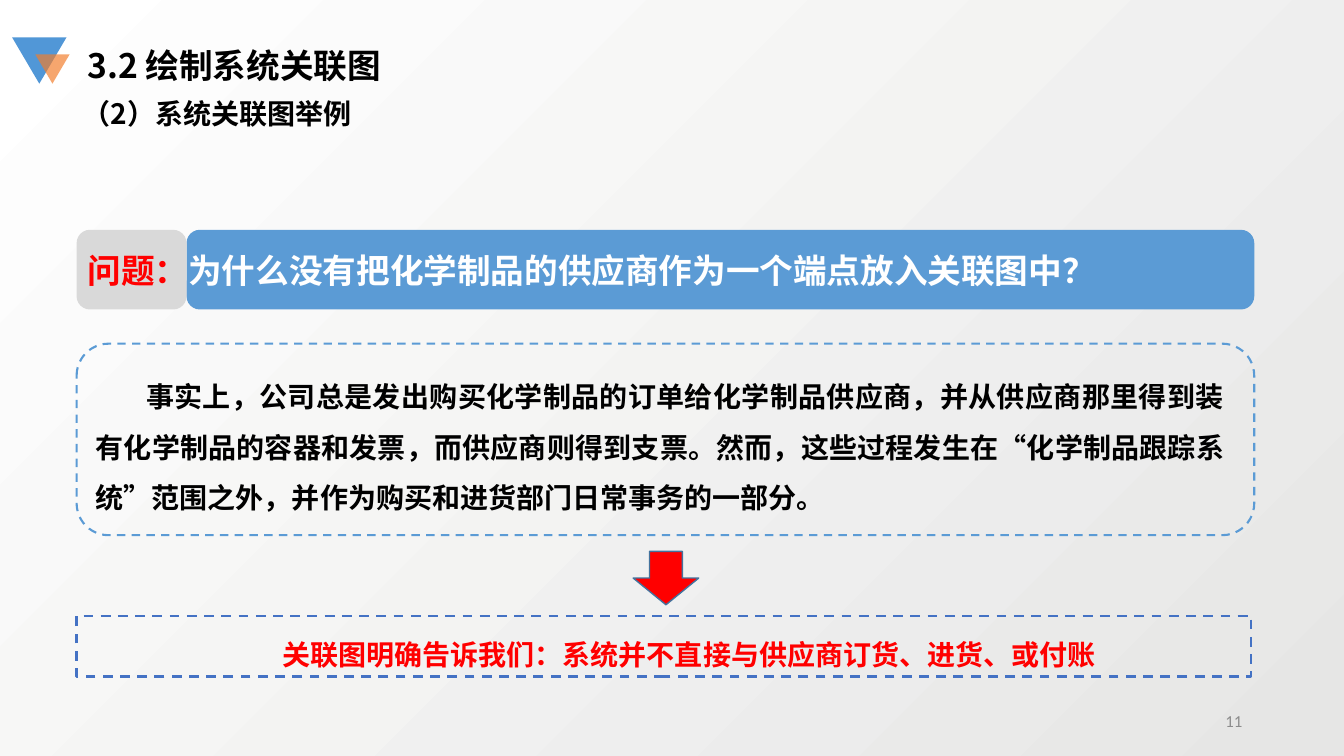
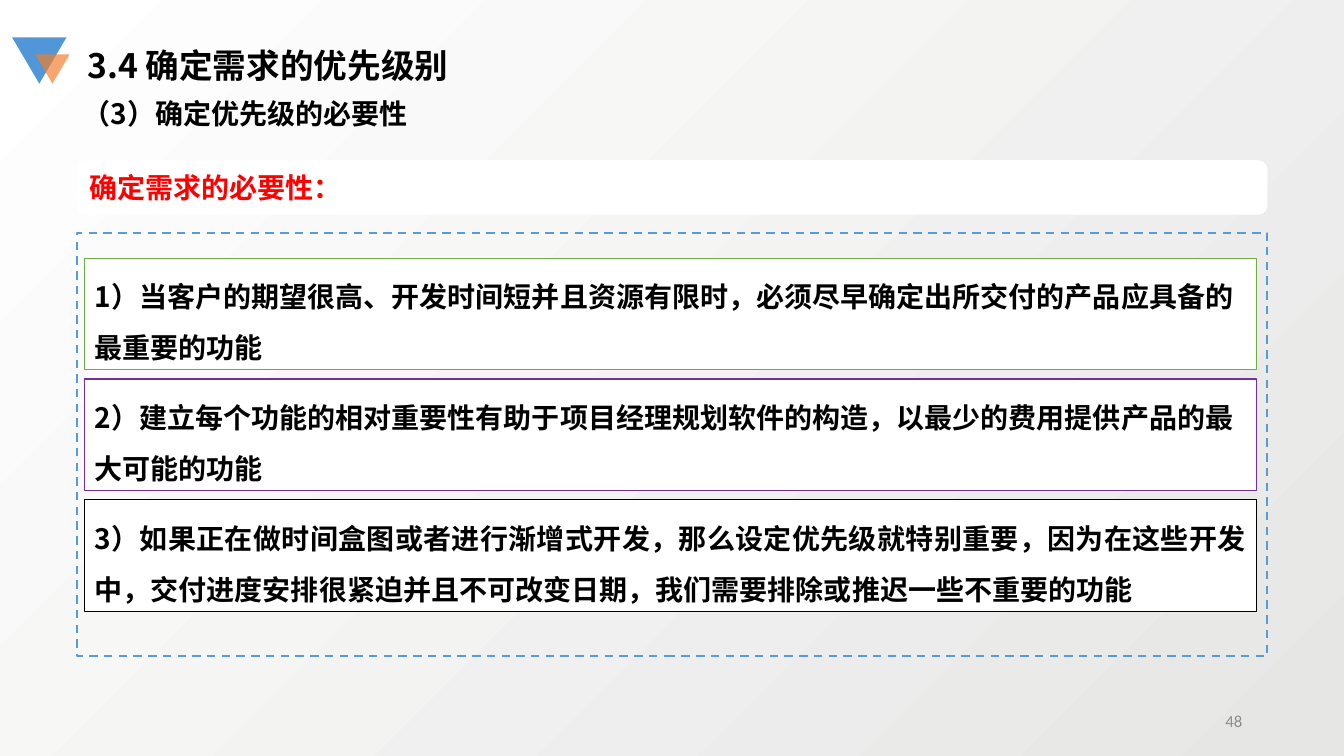
import dataclasses

import pptx
import pptx.dml.color
import pptx.enum.dml
import pptx.enum.shapes
import pptx.enum.text
import pptx.oxml.ns
import pptx.oxml.xmlchemy
import pptx.util
from lxml import etree

SHAPES = pptx.enum.shapes.MSO_SHAPE
ALIGN = pptx.enum.text.PP_ALIGN
ANCHOR = pptx.enum.text.MSO_ANCHOR
EMU_PER_PX = 9144


@dataclasses.dataclass(frozen=True)
class Theme:
    black: str = "000000"
    white: str = "FFFFFF"
    red: str = "FF0000"
    blue: str = "5B9BD5"
    royal: str = "4472C4"
    steel: str = "43739E"
    green: str = "70AD47"
    purple: str = "7030A0"
    label: str = "D9D9D9"
    number: str = "8C8C8C"
    shade: str = "E6E6E5"
    mark_blue: str = "5197D7"
    mark_orange: str = "F37D2A"
    heading: int = 24
    body: int = 20
    small: int = 12
    cjk: str = "Noto Sans CJK SC"
    latin: str = "Arial"
    footer: str = "Calibri"


THEME = Theme()


def px(value):
    return pptx.util.Emu(value * EMU_PER_PX)


def rgb(value):
    return pptx.dml.color.RGBColor.from_string(value)


def add_box(slide, preset, bounds, fill=None, line=None, width=1.5, dashed=False):
    box = slide.shapes.add_shape(preset, *map(px, bounds))
    box.shadow.inherit = False
    if fill:
        box.fill.solid()
        box.fill.fore_color.rgb = rgb(fill)
    else:
        box.fill.background()
    if line:
        box.line.color.rgb = rgb(line)
        box.line.width = pptx.util.Pt(width)
        if dashed:
            box.line.dash_style = pptx.enum.dml.MSO_LINE.DASH
    else:
        box.line.fill.background()
    return box


def write(box, text, size=THEME.body, color=THEME.black, font=THEME.cjk, bold=True,
          align=ALIGN.LEFT, spacing=None, indent=0, anchor=ANCHOR.TOP):
    frame = box.text_frame
    frame.word_wrap = True
    frame.vertical_anchor = anchor
    paragraph = frame.paragraphs[0]
    paragraph.alignment = align
    if spacing:
        paragraph.line_spacing = spacing
    properties = paragraph._p.get_or_add_pPr()
    if indent:
        properties.set("marL", "0")
        properties.set("indent", str(px(indent)))
    paragraph.font.size = pptx.util.Pt(size)
    paragraph.font.bold = bold
    paragraph.font.color.rgb = rgb(color)
    paragraph.font.name = font
    defaults = properties.find(pptx.oxml.ns.qn("a:defRPr"))
    etree.SubElement(defaults, pptx.oxml.ns.qn("a:ea"), typeface=THEME.cjk)
    paragraph.add_run().text = text
    return paragraph


def add_text(slide, bounds, text, **style):
    return write(slide.shapes.add_textbox(*map(px, bounds)), text, **style)


def add_mark(slide, bounds, color, opacity=100):
    mark = add_box(slide, SHAPES.ISOSCELES_TRIANGLE, bounds, color)
    mark.rotation = 180
    if opacity < 100:
        tint = mark._element.spPr.find(".//" + pptx.oxml.ns.qn("a:srgbClr"))
        etree.SubElement(tint, pptx.oxml.ns.qn("a:alpha"), val=str(opacity * 1000))


def set_background(deck):
    fill = deck.slide_master.background.fill
    fill.gradient()
    fill.gradient_angle = 135
    for stop, color, position in zip(fill.gradient_stops, (THEME.shade, THEME.white), (0, 1)):
        stop.color.rgb = rgb(color)
        stop.position = position


def add_page(deck, title, title_width, subtitle, number):
    slide = deck.slides.add_slide(deck.slide_layouts[6])
    add_mark(slide, (12, 37, 54, 46), THEME.mark_blue)
    add_mark(slide, (35, 54, 34, 29), THEME.mark_orange, 68)
    add_text(slide, (77, 40, title_width, 50), title, size=THEME.heading)
    add_text(slide, (72, 91, 849, 44), subtitle)
    add_text(slide, (942, 695, 300, 40), number, size=THEME.small, color=THEME.number,
             font=THEME.footer, bold=False, align=ALIGN.RIGHT, anchor=ANCHOR.MIDDLE)
    return slide


def build_context_diagram(deck):
    slide = add_page(deck, "3.2 绘制系统关联图", 353, "（2）系统关联图举例", "11")
    add_box(slide, SHAPES.ROUNDED_RECTANGLE, (185, 228, 1059, 79), THEME.blue)
    add_box(slide, SHAPES.ROUNDED_RECTANGLE, (76, 228, 109, 79), THEME.label)
    question = add_text(slide, (77, 243, 1180, 50), "问题：", size=THEME.heading,
                        color=THEME.red, font=THEME.latin)
    wording = question.add_run()
    wording.text = "为什么没有把化学制品的供应商作为一个端点放入关联图中？"
    wording.font.color.rgb = rgb(THEME.white)
    add_box(slide, SHAPES.ROUNDED_RECTANGLE, (76, 341, 1168, 190),
            line=THEME.blue, dashed=True)
    add_text(slide, (85, 355, 1139, 161),
             "事实上，公司总是发出购买化学制品的订单给化学制品供应商，并从供应商那里得到装"
             "有化学制品的容器和发票，而供应商则得到支票。然而，这些过程发生在“化学制品跟踪系"
             "统”范围之外，并作为购买和进货部门日常事务的一部分。",
             font=THEME.latin, align=ALIGN.JUSTIFY, spacing=1.5, indent=50)
    conclusion = add_box(slide, SHAPES.RECTANGLE, (76, 611, 1165, 60),
                         line=THEME.royal, width=1.75, dashed=True)
    write(conclusion, "关联图明确告诉我们：系统并不直接与供应商订货、进货、或付账",
          color=THEME.red, font=THEME.latin, align=ALIGN.CENTER, spacing=1.5, indent=50)
    add_box(slide, SHAPES.DOWN_ARROW, (628, 547, 65, 53), THEME.red, THEME.steel, 1)


def build_priorities(deck):
    slide = add_page(deck, "3.4 确定需求的优先级别", 411, "（3）确定优先级的必要性", "48")
    add_box(slide, SHAPES.RECTANGLE, (76, 231, 1181, 420), line=THEME.blue, dashed=True)
    reasons = (
        ("1）当客户的期望很高、开发时间短并且资源有限时，必须尽早确定出所交付的产品应具备的"
         "最重要的功能", THEME.green, ALIGN.LEFT),
        ("2）建立每个功能的相对重要性有助于项目经理规划软件的构造，以最少的费用提供产品的最"
         "大可能的功能", THEME.purple, ALIGN.LEFT),
        ("3）如果正在做时间盒图或者进行渐增式开发，那么设定优先级就特别重要，因为在这些开发"
         "中，交付进度安排很紧迫并且不可改变日期，我们需要排除或推迟一些不重要的功能",
         THEME.black, ALIGN.JUSTIFY),
    )
    for index, (text, outline, align) in enumerate(reasons):
        reason = add_box(slide, SHAPES.RECTANGLE, (84, 256 + 120 * index, 1162, 111),
                         THEME.white, outline, 0.75)
        write(reason, text, align=align, spacing=1.5)
    banner = add_box(slide, SHAPES.ROUNDED_RECTANGLE, (76, 159, 1181, 54), THEME.white)
    write(banner, "确定需求的必要性：", color=THEME.red, anchor=ANCHOR.MIDDLE)


def main():
    deck = pptx.Presentation()
    deck.slide_width = pptx.util.Inches(13.33)
    deck.slide_height = pptx.util.Inches(7.5)
    set_background(deck)
    build_context_diagram(deck)
    build_priorities(deck)
    deck.save("out.pptx")


if __name__ == "__main__":
    main()
